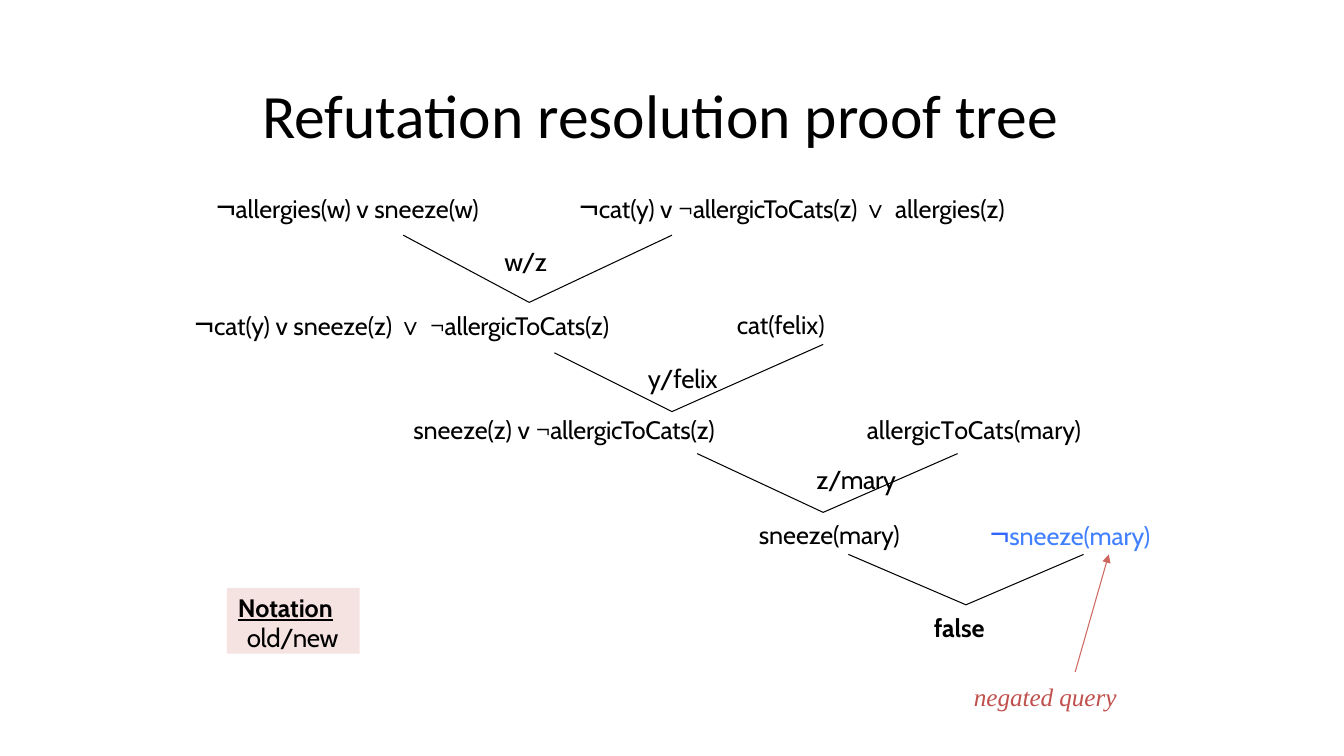
from lxml.etree import SubElement
from pptx import Presentation
from pptx.dml.color import RGBColor
from pptx.enum.shapes import MSO_CONNECTOR, MSO_SHAPE
from pptx.enum.text import MSO_ANCHOR, PP_ALIGN
from pptx.oxml.ns import qn
from pptx.util import Pt

HUES = {
    "ink": "000000",
    "not": "3366FF",
    "query": "4180FF",
    "arrow": "CD665F",
    "label": "C0504D",
    "note": "F5E3E2",
}


def hue(name):
    return RGBColor.from_string(HUES[name])


def write(par, text, size=18, font="Cabin", color="ink", gap=-0.05,
          bold=False, italic=False, under=False):
    run = par.add_run()
    run.text = text
    face = run.font
    face.size, face.name = Pt(size), font
    face.bold, face.italic, face.underline = bold, italic, under
    face.color.rgb = hue(color)
    run._r.get_or_add_rPr().set("spc", str(round(gap * 100)))


def sign(text="¬", size=24, **fmt):
    return text, dict(size=size, font="Arial", **fmt)


def tight(text):
    return text, dict(gap=-0.17)


def bind(text):
    return text, dict(size=18.5, gap=-0.3)


class Page:
    def __init__(self, slide):
        self.shapes = slide.shapes
        self.width = Pt(0.75)

    def frame(self, shape, top=0.7):
        frame = shape.text_frame
        frame.word_wrap = True
        frame.margin_left = frame.margin_right = frame.margin_bottom = 0
        frame.margin_top = Pt(top)
        return frame

    def par(self, frame, *runs, left=0.7, before=1, align=PP_ALIGN.LEFT, pitch=None):
        par = frame.paragraphs[0]
        if par.runs:
            par = frame.add_paragraph()
        par.alignment = align
        par.space_before = Pt(before)
        if pitch:
            par.line_spacing = Pt(pitch)
        props = par._p.get_or_add_pPr()
        props.set("marL", str(Pt(left)))
        props.set("indent", "0")
        for run in runs:
            text, fmt = (run, {}) if isinstance(run, str) else run
            write(par, text, **fmt)

    def text(self, x, y, w, h, *runs, **fmt):
        box = self.shapes.add_textbox(Pt(x), Pt(y), Pt(w), Pt(h))
        frame = self.frame(box)
        self.par(frame, *runs, **fmt)
        return frame

    def line(self, start, end, color="ink", head=False):
        ends = [Pt(n) for n in (*start, *end)]
        link = self.shapes.add_connector(MSO_CONNECTOR.STRAIGHT, *ends)
        link.line.color.rgb = hue(color)
        link.line.width = self.width
        if head:
            SubElement(link.line._get_or_add_ln(), qn("a:tailEnd"), type="triangle")
        SubElement(link._element.spPr, qn("a:effectLst"))

    def join(self, left, tip, right):
        for start in (left, right):
            self.line(start, tip)

    def panel(self, x, y, w, h, color):
        rect = self.shapes.add_shape(MSO_SHAPE.RECTANGLE, Pt(x), Pt(y), Pt(w), Pt(h))
        rect.shadow.inherit = False
        rect.fill.solid()
        rect.fill.fore_color.rgb = hue(color)
        rect.line.fill.background()
        frame = self.frame(rect, top=3.6)
        frame.vertical_anchor = MSO_ANCHOR.TOP
        return frame


def main():
    deck = Presentation()
    deck.slide_width, deck.slide_height = Pt(960), Pt(540)
    page = Page(deck.slides.add_slide(deck.slide_layouts[6]))

    title = page.text(
        185.8, 54, 680, 54,
        ("Refutation resolution proof tree", dict(size=44, font="Calibri", gap=0)),
        left=1.4)
    title.vertical_anchor = MSO_ANCHOR.MIDDLE

    page.text(153.7, 131.5, 210, 31, sign(), "allergies(w) v sneeze(w)")
    page.text(413, 131.5, 330, 31, sign(), "cat(y) v ",
              tight("¬allergicToCats(z) "), sign("∨ ", 18, gap=0), "allergies(z)")
    page.text(359.5, 174.8, 40, 24, bind("w/z"))

    second = page.text(
        138.2, 214.6, 374.4, 68.4,
        sign(), "cat(y) v sneeze(z) ", sign("∨ ", 18, gap=0),
        tight("¬allergicToCats(z)"))
    page.par(second, ("y/felix", dict(size=18.5, gap=-0.2)),
             left=0, before=15.2, align=PP_ALIGN.RIGHT)
    page.text(525.6, 220.3, 72, 23.8, "cat(felix)")

    page.text(294.5, 295, 241.2, 23.8, "sneeze(z) v ", tight("¬allergicToCats(z)"))
    third = page.text(
        582.5, 295, 199.4, 59.8,
        ("allergi", dict(gap=0)), ("c", dict(gap=-0.8)), ("T", dict(gap=-1.9)),
        ("oCats(mary)", dict(gap=0)), left=36.7)
    page.par(third, bind("z/mary"), before=13.9)

    page.text(541.4, 370.2, 110.2, 23.8, "sneeze(mary)")
    page.text(706.3, 364.7, 127.4, 31, sign(color="not"),
              ("sneeze(mary)", dict(color="query")))
    page.text(666.3, 436.7, 45.4, 23.8, ("false", dict(bold=True)))
    page.text(695, 485.7, 104.4, 23.8,
              ("negated query", dict(font="Times New Roman", color="label", italic=True)))

    for fork in (
        ((288, 168), (378, 216), (480, 168)),
        ((396, 252), (480, 294), (588, 246)),
        ((498, 324), (588, 366), (684, 324)),
        ((606, 396), (690, 432), (774, 396)),
    ):
        page.join(*fork)
    page.line((768, 480), (792, 396), color="arrow", head=True)

    note = page.panel(162, 420, 95, 47, "note")
    page.par(note, ("Notation", dict(bold=True, under=True)),
             left=8, before=3.6, pitch=21.1)
    page.par(note, bind("old/new"), left=14.4, before=0, pitch=21.6)

    deck.save("out.pptx")


if __name__ == "__main__":
    main()
